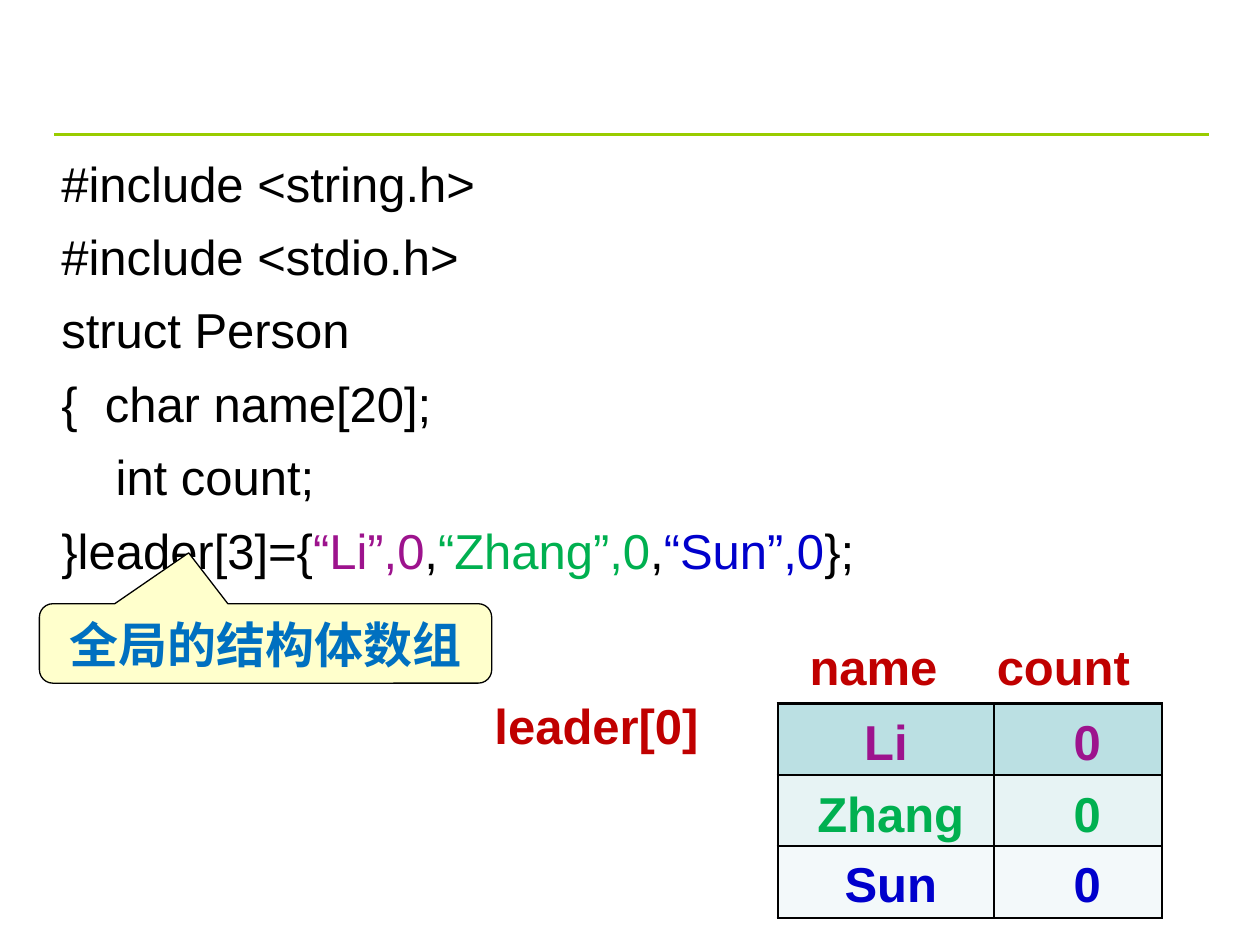
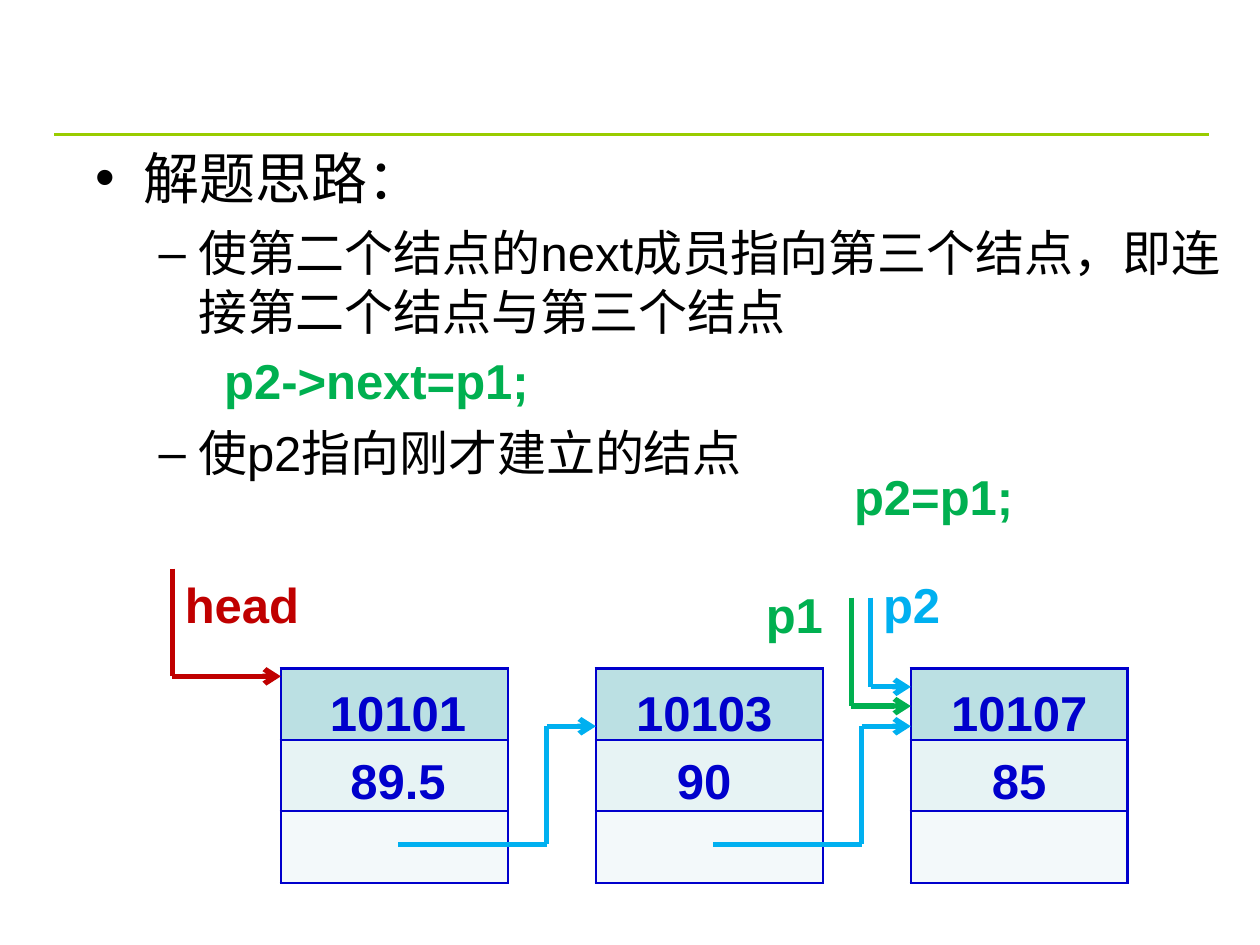
from dataclasses import dataclass
from itertools import pairwise

from lxml.etree import SubElement
from pptx import Presentation
from pptx.dml.color import RGBColor
from pptx.enum.shapes import MSO_CONNECTOR as Connector, MSO_SHAPE as Preset
from pptx.enum.text import MSO_ANCHOR as Anchor, MSO_AUTO_SIZE as AutoSize, PP_ALIGN as Align
from pptx.oxml.ns import qn
from pptx.util import Pt

FONT = "Arial"
SIZE = 28
BLACK, RED, BLUE = "000000", "C00000", "0000CC"
GREEN, PURPLE, SKY = "00B050", "9D138D", "00B0F0"
CALLOUT_TEXT, CALLOUT_FILL, RULE = "0070C0", "FFFFCC", "99CC00"
ROW_FILLS = ("BBE0E3", "E7F3F4", "F3F9FA")
ROW_HEIGHT = 40.8


@dataclass(frozen=True)
class Label:
    text: str
    left: float
    top: float
    width: float
    color: str
    align: Align = Align.LEFT
    height: float = 41
    leading: float | None = None


@dataclass(frozen=True)
class Route:
    color: str
    points: tuple[tuple[float, float], ...]


@dataclass(frozen=True)
class Member:
    name: str
    color: str
    left: float
    top: float
    width: float


@dataclass(frozen=True)
class Node:
    number: str
    score: str
    width: float = 129.6
    text_shift: float = 0


@dataclass(frozen=True)
class Point:
    text: str
    level: int
    size: float
    margin: float
    hanging: float
    bullet: str
    before: float


def rgb(color: str) -> RGBColor:
    return RGBColor.from_string(color)


def set_font(font, color: str, size: float = SIZE, bold: bool = False) -> None:
    font.name, font.size, font.bold = FONT, Pt(size), bold
    font.color.rgb = rgb(color)


def add_line(slide, start, end, color: str, width: float, arrow: bool = False) -> None:
    line = slide.shapes.add_connector(Connector.STRAIGHT, *map(Pt, start + end))
    line.line.color.rgb = rgb(color)
    line.line.width = Pt(width)
    if arrow:
        SubElement(line.line._get_or_add_ln(), qn("a:tailEnd"), type="arrow")
    SubElement(line._element.spPr, qn("a:effectLst"))


def add_route(slide, route: Route) -> None:
    legs = list(pairwise(route.points))
    for index, (start, end) in enumerate(legs, 1):
        add_line(slide, start, end, route.color, 3, arrow=index == len(legs))


def add_label(slide, label: Label) -> None:
    box = slide.shapes.add_textbox(Pt(label.left), Pt(label.top), Pt(label.width), Pt(label.height))
    frame = box.text_frame
    frame.word_wrap = True
    frame.auto_size = AutoSize.SHAPE_TO_FIT_TEXT
    frame.text = label.text
    for paragraph in frame.paragraphs:
        paragraph.alignment = label.align
        if label.leading:
            paragraph.line_spacing = Pt(label.leading)
        set_font(paragraph.font, label.color, bold=True)


def add_border(cell, color: str) -> None:
    properties = cell._tc.get_or_add_tcPr()
    for index, side in enumerate(("lnL", "lnR", "lnT", "lnB")):
        edge = SubElement(properties, qn(f"a:{side}"), w=str(Pt(1.5)))
        fill = SubElement(edge, qn("a:solidFill"))
        SubElement(fill, qn("a:srgbClr"), val=color)
        properties.insert(index, edge)


def add_record_table(slide, left: float, top: float, widths, border: str) -> None:
    rows = len(ROW_FILLS)
    table = slide.shapes.add_table(
        rows, len(widths), Pt(left), Pt(top), Pt(sum(widths)), Pt(ROW_HEIGHT * rows)
    ).table
    table.first_row = table.horz_banding = False
    for column, width in zip(table.columns, widths):
        column.width = Pt(width)
    for row, color in zip(table.rows, ROW_FILLS):
        row.height = Pt(ROW_HEIGHT)
        for cell in row.cells:
            cell.fill.solid()
            cell.fill.fore_color.rgb = rgb(color)
            add_border(cell, border)


def add_slide(deck, layout: int):
    slide = deck.slides.add_slide(deck.slide_layouts[layout])
    add_line(slide, (31, 77), (691, 77), RULE, 1.5)
    return slide


def add_code(slide) -> None:
    lines = (
        [("#include <string.h>", BLACK)],
        [("#include <stdio.h>", BLACK)],
        [("struct Person", BLACK)],
        [("{  char name[20];", BLACK)],
        [("    int count;", BLACK)],
        [("}leader[3]={", BLACK), ("“Li”,0", PURPLE), (",", BLACK), ("“Zhang”,0", GREEN),
         (",", BLACK), ("“Sun”,0", BLUE), ("};", BLACK)],
    )
    frame = slide.shapes.add_textbox(Pt(28), Pt(80.6), Pt(664), Pt(338)).text_frame
    frame.word_wrap = True
    frame.margin_top = Pt(7)
    for index, pieces in enumerate(lines):
        paragraph = frame.add_paragraph() if index else frame.paragraphs[0]
        paragraph.space_before = Pt(8.3 if index else 0)
        for text, color in pieces:
            run = paragraph.add_run()
            run.text = text
            set_font(run.font, color)


def add_callout(slide, text: str) -> None:
    callout = slide.shapes.add_shape(
        Preset.ROUNDED_RECTANGULAR_CALLOUT, Pt(22.5), Pt(345), Pt(258.5), Pt(45.4)
    )
    for index, value in enumerate((-0.17, -1.14, 0.17)):
        callout.adjustments[index] = value
    callout.shadow.inherit = False
    callout.fill.solid()
    callout.fill.fore_color.rgb = rgb(CALLOUT_FILL)
    callout.line.color.rgb = rgb(BLACK)
    callout.line.width = Pt(0.75)
    frame = callout.text_frame
    frame.word_wrap = False
    frame.vertical_anchor = Anchor.MIDDLE
    frame.text = text
    frame.paragraphs[0].alignment = Align.CENTER
    set_font(frame.paragraphs[0].font, CALLOUT_TEXT, bold=True)


def build_array_slide(deck) -> None:
    slide = add_slide(deck, 6)
    add_code(slide)
    add_callout(slide, "全局的结构体数组")
    add_record_table(slide, 444.5, 402, (123.6, 95.8), BLACK)
    for label in (
        Label("name", 455.5, 360, 112, RED),
        Label("count", 562.5, 360, 112, RED),
        Label("leader[0]", 275.5, 394, 180, RED),
    ):
        add_label(slide, label)
    for member in (
        Member("Li", PURPLE, 455.5, 403, 101.5),
        Member("Zhang", GREEN, 450, 444, 118),
        Member("Sun", BLUE, 450, 484, 118),
    ):
        add_label(slide, Label(member.name, member.left, member.top, member.width,
                               member.color, Align.CENTER))
        add_label(slide, Label("0", 596, member.top, 50.5, member.color, Align.CENTER))


def add_points(slide) -> None:
    points = (
        Point("解题思路：", 0, 32, 27, 27, "•", 0),
        Point("使第二个结点的next成员指向第三个结点，即连接第二个结点与第三个结点",
              1, SIZE, 58.5, 22.5, "–", 7),
        Point("使p2指向刚才建立的结点", 1, SIZE, 58.5, 22.5, "–", 47),
    )
    title, body = slide.placeholders
    title._element.getparent().remove(title._element)
    body.left, body.top, body.width, body.height = map(Pt, (47.5, 77, 658, 236))
    frame = body.text_frame
    frame.auto_size = AutoSize.NONE
    frame.margin_top = Pt(5)
    for index, point in enumerate(points):
        paragraph = frame.add_paragraph() if index else frame.paragraphs[0]
        paragraph.text = point.text
        paragraph.level = point.level
        properties = paragraph._p.get_or_add_pPr()
        properties.set("marL", str(Pt(point.margin)))
        properties.set("indent", str(-Pt(point.hanging)))
        SubElement(properties, qn("a:buFont"), typeface=FONT)
        SubElement(properties, qn("a:buChar"), char=point.bullet)
        paragraph.space_before = Pt(point.before)
        set_font(paragraph.font, BLACK, point.size)


def build_list_slide(deck) -> None:
    slide = add_slide(deck, 1)
    add_points(slide)
    first_left, step, top = 160.5, 180, 382
    nodes = (Node("10101", "89.5", text_shift=5), Node("10103", "90"),
             Node("10107", "85", width=123.8))
    for index, node in enumerate(nodes):
        left = first_left + step * index
        add_record_table(slide, left, top, (node.width,), BLUE)
        add_label(slide, Label(f"{node.number}\n{node.score}", left + node.text_shift, top - 1,
                               123.8, BLUE, Align.CENTER, 85.5, 39))
    for index in range(len(nodes) - 1):
        left = first_left + step * index
        bend = left + 152
        add_route(slide, Route(SKY, ((left + 67, 482.5), (bend, 482.5),
                                     (bend, 415), (left + step, 415))))
    last_left = first_left + step * (len(nodes) - 1)
    for route in (
        Route(RED, ((98.5, 325), (98.5, 386.5), (first_left, 386.5))),
        Route(GREEN, ((486.5, 341.5), (486.5, 403.5), (last_left, 403.5))),
        Route(SKY, ((497.5, 341.5), (497.5, 392.5), (last_left, 392.5))),
    ):
        add_route(slide, route)
    for label in (
        Label("head", 98.5, 325, 96, RED),
        Label("p1", 430.5, 330.5, 62, GREEN),
        Label("p2", 497.5, 325, 62, SKY),
        Label("p2->next=p1;", 121, 196.5, 281.5, GREEN),
        Label("p2=p1;", 481, 263, 152, GREEN),
    ):
        add_label(slide, label)


def main() -> None:
    """Build the two slides on struct arrays and linked lists."""
    deck = Presentation()
    deck.slide_width, deck.slide_height = Pt(720), Pt(540)
    build_array_slide(deck)
    build_list_slide(deck)
    deck.save("out.pptx")


if __name__ == "__main__":
    main()
